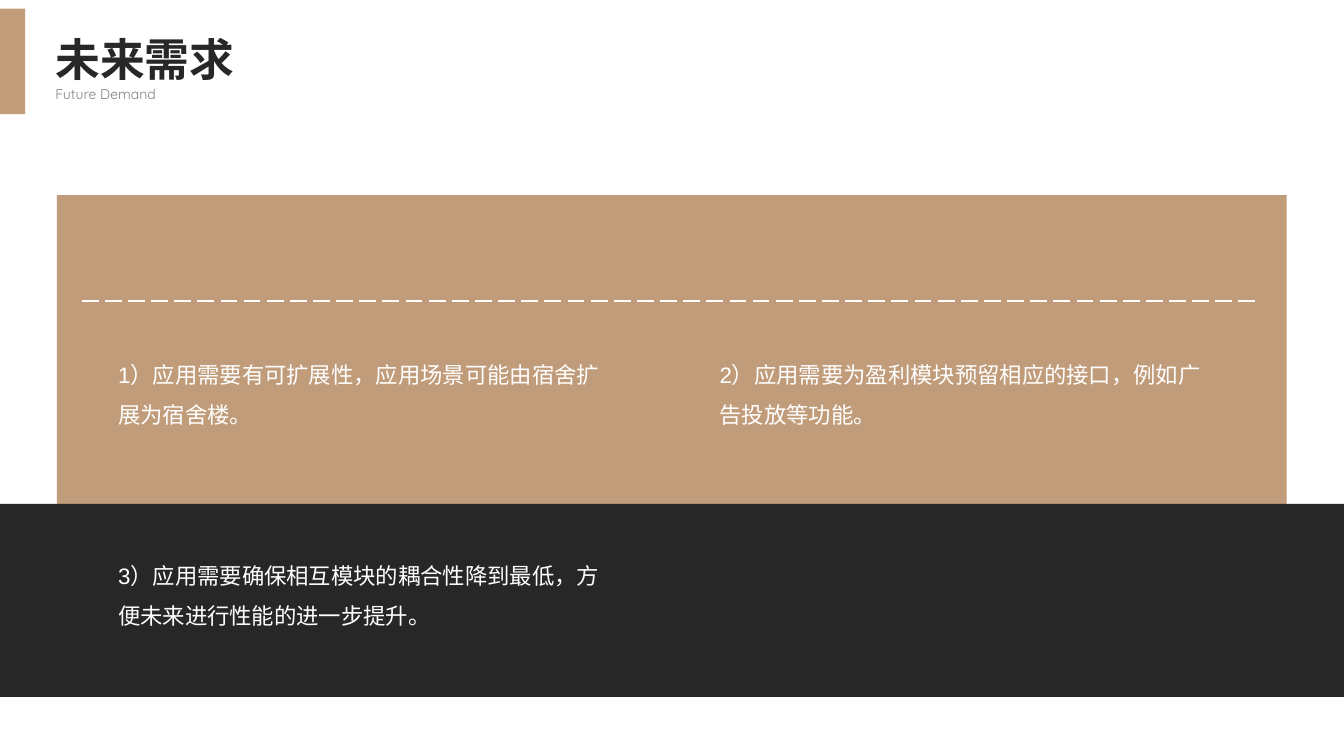
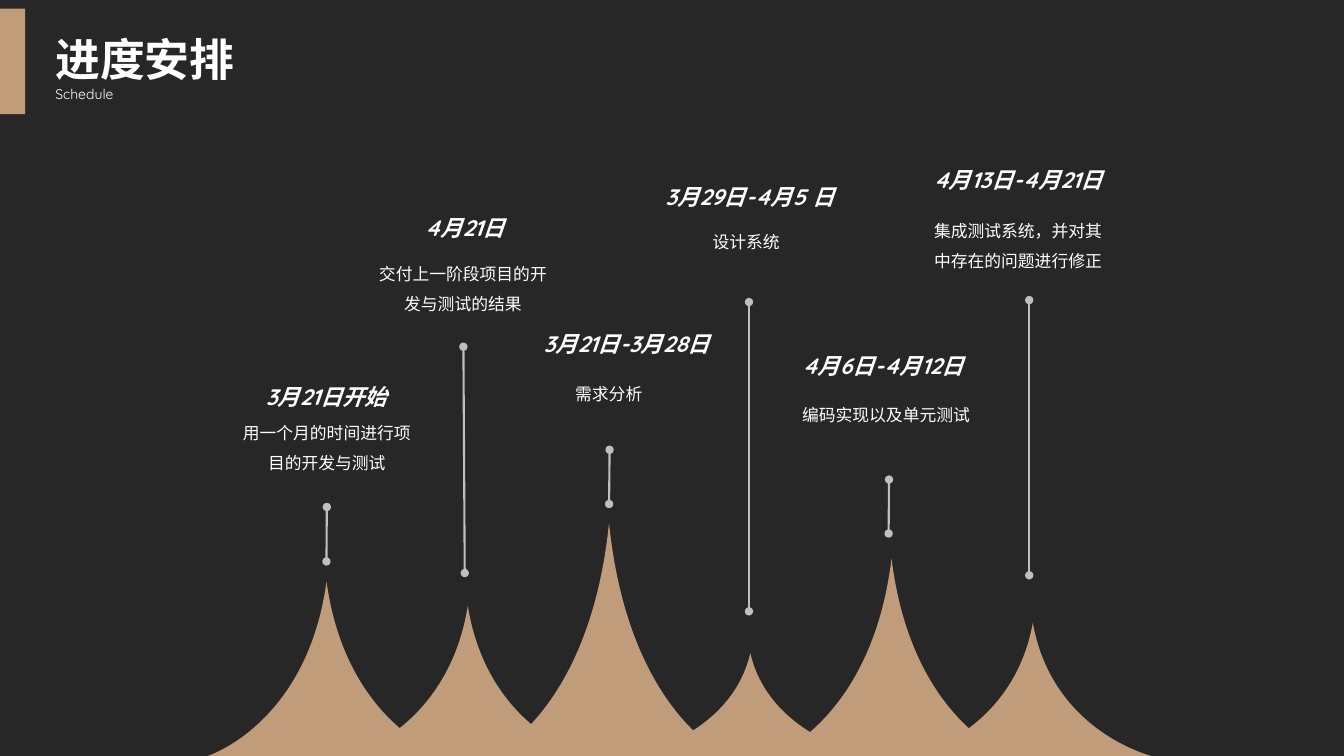
from lxml import etree
from pptx import Presentation
from pptx.dml.color import RGBColor
from pptx.enum.dml import MSO_LINE
from pptx.enum.shapes import MSO_CONNECTOR, MSO_SHAPE
from pptx.enum.text import MSO_AUTO_SIZE, PP_ALIGN
from pptx.oxml.ns import qn
from pptx.util import Inches, Pt

RECT = MSO_SHAPE.RECTANGLE
LINE = MSO_CONNECTOR.STRAIGHT
DASH = MSO_LINE.LONG_DASH
LEFT, CENTER = PP_ALIGN.LEFT, PP_ALIGN.CENTER
GROW, FIXED = MSO_AUTO_SIZE.SHAPE_TO_FIT_TEXT, MSO_AUTO_SIZE.NONE

TAN = RGBColor(0xC1, 0x9C, 0x7A)
DARK = RGBColor(0x27, 0x27, 0x27)
WHITE = RGBColor(0xFF, 0xFF, 0xFF)
GRAY = RGBColor(0x80, 0x80, 0x80)
SILVER = RGBColor(0xBF, 0xBF, 0xBF)

HAN, BODY, ACCENT = "Noto Sans CJK SC", "Arial", "Quicksand"


class Deck:
    """Style and current slide; lengths are percent of slide width or height."""

    def __init__(self):
        self.prs = Presentation()
        self.prs.slide_width = Inches(40 / 3)
        self.prs.slide_height = Inches(7.5)
        self.shapes = None

    def x(self, share):
        return round(self.prs.slide_width * share / 100)

    def y(self, share):
        return round(self.prs.slide_height * share / 100)

    def frame(self, left, top, width, height):
        return self.x(left), self.y(top), self.x(width), self.y(height)

    def slide(self):
        self.shapes = self.prs.slides.add_slide(self.prs.slide_layouts[6]).shapes

    def paint(self, shape, color):
        shape.shadow.inherit = False
        shape.fill.solid()
        shape.fill.fore_color.rgb = color
        shape.line.fill.background()

    def rect(self, box, color):
        self.paint(self.shapes.add_shape(RECT, *self.frame(*box)), color)

    def text(self, words, box, size, color, font=BODY, bold=False, slant=False,
             align=LEFT, space=1.0, wrap=True):
        frame = self.shapes.add_textbox(*self.frame(*box)).text_frame
        frame.word_wrap = wrap
        frame.auto_size = GROW if wrap else FIXED
        frame.text = words
        para = frame.paragraphs[0]
        para.alignment, para.line_spacing = align, space
        face = para.runs[0].font
        face.name, face.size = font, Pt(size)
        face.bold, face.italic = bold, slant
        face.color.rgb = color
        # East Asian glyphs need their own typeface
        props = para.runs[0]._r.get_or_add_rPr()
        etree.SubElement(props, qn("a:ea")).set("typeface", HAN)

    def line(self, start, end, color, dash=None, dots=False):
        link = self.shapes.add_connector(
            LINE, self.x(start[0]), self.y(start[1]), self.x(end[0]), self.y(end[1]))
        link.line.color.rgb = color
        link.line.width = Pt(1.5)
        if dash:
            link.line.dash_style = dash
        if dots:
            for tag in ("a:headEnd", "a:tailEnd"):
                etree.SubElement(link.line._ln, qn(tag)).set("type", "oval")
        etree.SubElement(link._element.spPr, qn("a:effectLst"))

    def peak(self, mid, top, half=8.85, waist=1.46):
        """Spire on the bottom edge with two mirrored curves as sides."""
        wide, high = self.x(2 * half), self.y(100 - top)
        left, crest = self.x(mid - half), self.y(top)
        apex, west, east = (wide // 2, 0), (0, high), (wide, high)
        form = self.shapes.build_freeform(left + wide, crest + high)
        form.add_line_segments(
            [(left + col, crest + row) for col, row in (apex, west, east)], close=True)
        shape = form.convert_to_shape()
        self.paint(shape, TAN)
        # Bend the two sides
        bend, dip = self.x(waist), round(high * 0.82)
        sides = [(east, (apex[0] + bend, dip), apex),
                 ((apex[0] - bend, dip), west, west)]
        edges = list(shape._element.iter(qn("a:lnTo")))
        for edge, points in zip(edges, sides):
            curve = etree.Element(qn("a:cubicBezTo"))
            for col, row in points:
                spot = etree.SubElement(curve, qn("a:pt"))
                spot.set("x", str(col))
                spot.set("y", str(row))
            edge.getparent().replace(edge, curve)

    def head(self, title, sub, color, tint):
        self.text(title, (3.38, 2.13, 29.93, 10), 32, color, HAN, bold=True, space=1.2)
        self.text(sub, (3.38, 10.35, 38.93, 3.87), 10, tint, ACCENT, space=1.14)

    def tab(self):
        self.rect((0, 1.15, 1.88, 13.95), TAN)


# Needs: column, row, words
NEEDS = [
    (52.8, 45.33, "2）应用需要为盈利模块预留相应的接口，例如广告投放等功能。"),
    (8.05, 71.87, "3）应用需要确保相互模块的耦合性降到最低，方便未来进行性能的进一步提升。"),
    (8.05, 45.33, "1）应用需要有可扩展性，应用场景可能由宿舍扩展为宿舍楼。"),
]

# Peak tops, left to right
TOPS = [76.93, 80.13, 69.2, 86.4, 73.87, 82.4]

# Pins: top x, bottom x, top y, bottom y
PINS = [
    (34.48, 34.58, 45.87, 75.8),
    (55.73, 55.73, 39.95, 80.87),
    (76.58, 76.58, 39.7, 76.1),
    (24.32, 24.29, 67.07, 74.27),
    (45.36, 45.32, 59.5, 66.67),
    (66.15, 66.12, 63.43, 70.57),
]

# Dates and notes: middle, top, words
DATES = [
    (24.3, 50.05, "3月21日开始"),
    (34.58, 27.73, "4月21日"),
    (46.65, 43.07, "3月21日-3月28日"),
    (55.8, 23.53, "3月29日-4月5 日"),
    (65.7, 45.87, "4月6日-4月12日"),
    (75.75, 21.33, "4月13日-4月21日"),
]
NOTES = [
    (24.32, 53.93, "用一个月的时间进行项目的开发与测试"),
    (45.3, 48.8, "需求分析"),
    (65.93, 51.6, "编码实现以及单元测试"),
    (75.75, 27.2, "集成测试系统，并对其中存在的问题进行修正"),
    (55.52, 28.67, "设计系统"),
    (34.45, 32.88, "交付上一阶段项目的开发与测试的结果"),
]


def future(deck):
    deck.slide()
    deck.rect((4.23, 25.8, 91.5, 66.4), TAN)
    deck.rect((0, 66.65, 100, 25.55), DARK)
    deck.head("未来需求", "Future Demand", DARK, GRAY)
    deck.tab()
    deck.line((6.08, 39.83), (93.57, 39.83), WHITE, dash=DASH)
    for col, row, words in NEEDS:
        deck.text(words, (col, row, 38.18, 12.13), 16, WHITE, space=1.5)


def schedule(deck):
    deck.slide()
    deck.rect((0, 0, 100, 100), DARK)
    for i, top in enumerate(TOPS):
        deck.peak(24.3 + 10.51 * i, top)
    for upper, lower, top, base in PINS:
        deck.line((upper, top), (lower, base), SILVER, dots=True)
    for mid, top, date in DATES:
        deck.text(date, (mid - 3.15, top, 6.3, 4.93), 16, WHITE, ACCENT,
                  bold=True, slant=True, align=CENTER, wrap=False)
    for mid, top, note in NOTES:
        tall = 9.47 if len(note) > 10 else 5.33
        deck.text(note, (mid - 7.35, top, 14.7, tall), 12, WHITE,
                  align=CENTER, space=1.5)
    deck.head("进度安排", "Schedule", WHITE, WHITE)
    deck.tab()


def main():
    deck = Deck()
    future(deck)
    schedule(deck)
    deck.prs.save("out.pptx")


if __name__ == "__main__":
    main()
